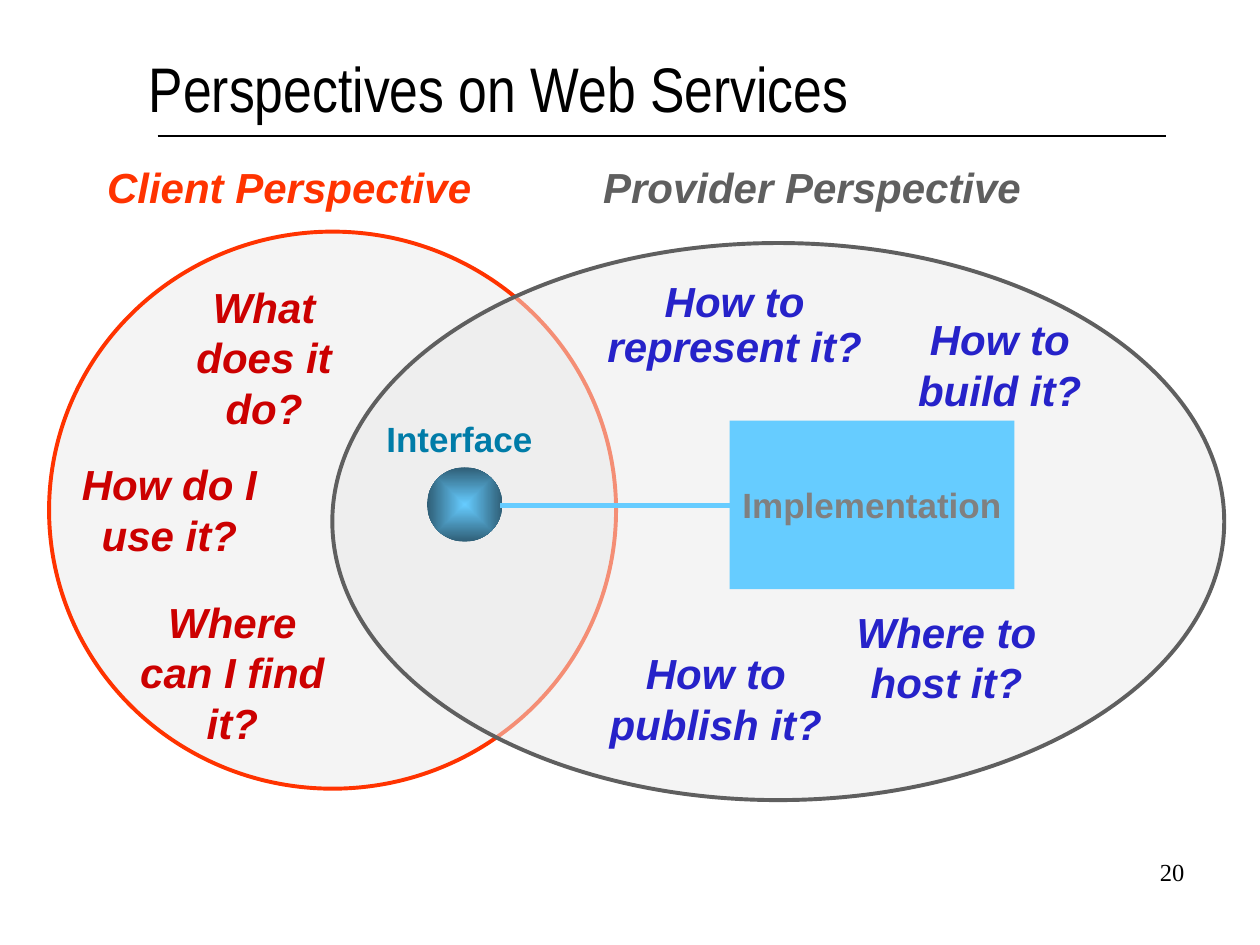
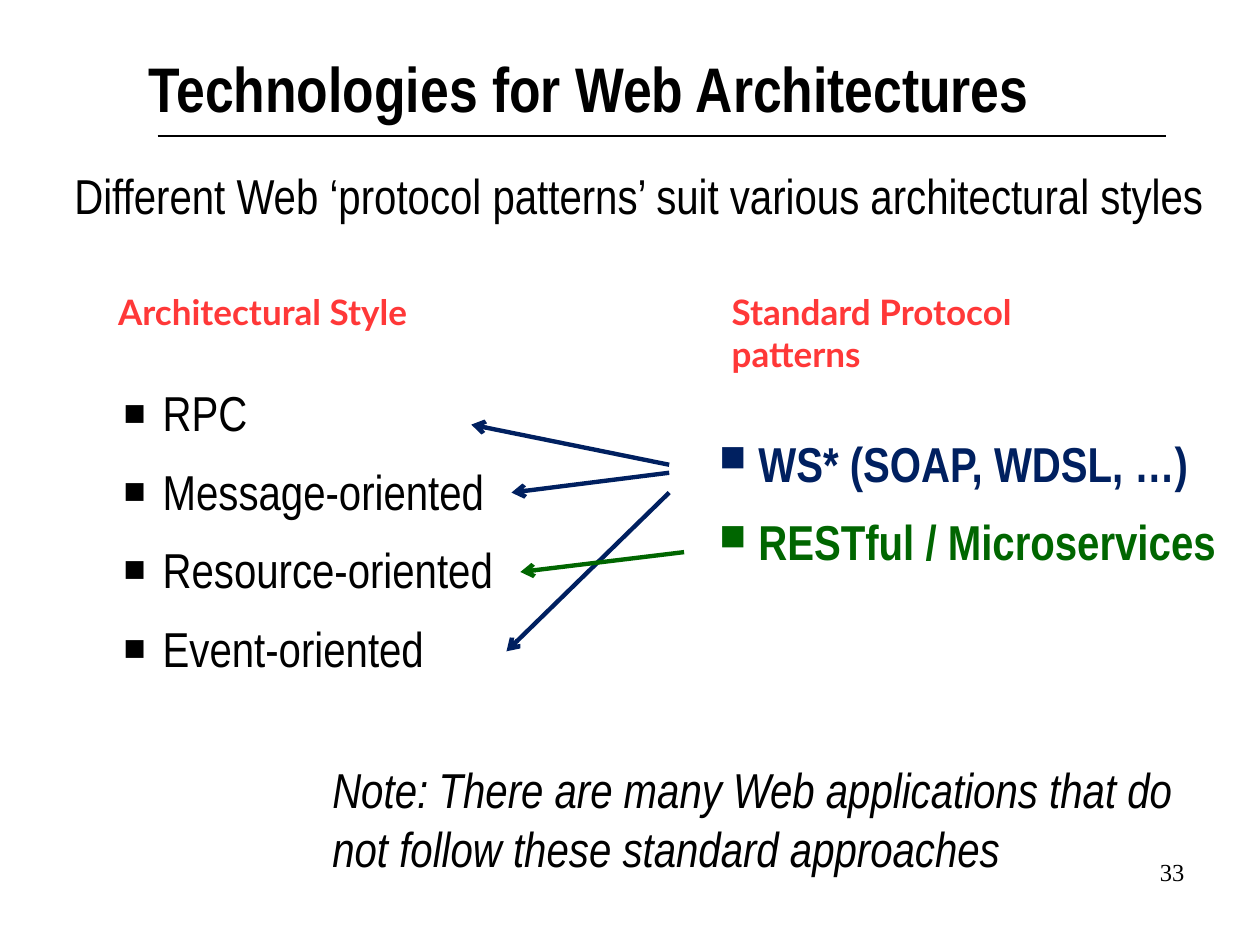
from dataclasses import dataclass

from lxml import etree
from pptx import Presentation
from pptx import util as u
from pptx.dml.color import RGBColor
from pptx.enum import shapes, text
from pptx.oxml import ns


@dataclass(frozen=True)
class Theme:
    # Colours
    ink: str = "000000"
    client: str = "FF3300"
    provider: str = "5F5F5F"
    client_question: str = "CC0000"
    provider_question: str = "2622C9"
    area: str = "EAEAEA"
    block: str = "66CCFF"
    ball_edge: str = "2F5E76"
    block_text: str = "808080"
    interface: str = "007CA8"
    heading: str = "FF3838"
    soap: str = "002060"
    rest: str = "006600"
    # Fonts
    narrow: str = "Arial Narrow"
    sans: str = "Arial"
    head_font: str = "Lato"
    serif: str = "Times New Roman"
    # Type sizes
    title: int = 36
    body: int = 28
    question: int = 24
    label: int = 20
    number: int = 14


THEME = Theme()
LEFT, CENTER, RIGHT = text.PP_ALIGN.LEFT, text.PP_ALIGN.CENTER, text.PP_ALIGN.RIGHT

# Content: places are (left, top, width, height) in centimetres
TITLE_AT = (3, 0.99, 19.43, 1.9)
NUMBER_AT = (18.85, 17.15, 5.28, 1.27)
RULE = (3.18, 2.74, 23.5, 2.74)

PERSPECTIVES = [
    ("Client Perspective", THEME.client, (1.91, 3.12, 8.79, 1.27), (0.99, 4.67, 11.43, 11.23)),
    ("Provider Perspective", THEME.provider, (11.91, 3.12, 9.8, 1.27), (6.7, 4.9, 17.98, 11.23)),
]
QUESTIONS = {
    THEME.client_question: [
        ("What does it do?", (3.1, 5.54, 4.45, 3.3), 1),
        ("How do I use it?", (1.19, 9.12, 4.45, 2.29), 1),
        ("Where can I find it?", (2.46, 11.89, 4.45, 3.3), 1),
    ],
    THEME.provider_question: [
        ("How to represent it?", (11.71, 5.54, 6.2, 2.08), 0.9),
        ("How to build it?", (17.83, 6.2, 4.65, 2.29), 1),
        ("Where to host it?", (16.64, 12.09, 4.88, 2.29), 1),
        ("How to publish it?", (11.99, 12.93, 4.88, 2.29), 1),
    ],
}
INTERFACE_AT = (7.54, 8.28, 3.61, 1.09)
BALL_AT = (8.61, 9.42, 1.52, 1.5)
LINK = (10.08, 10.19, 14.73, 10.19)
IMPLEMENTATION_AT = (14.71, 8.48, 5.74, 3.4)

INTRO = "Different Web ‘protocol patterns’ suit various architectural styles"
INTRO_AT = (1.5, 3.33, 23.01, 1.6)
NOTE = "Note: There are many Web applications that do not follow these standard approaches"
NOTE_AT = (6.7, 15.32, 17.81, 1.6)
HEADINGS = [
    ("Architectural Style", (2.13, 5.72, 8.15, 1.12)),
    ("Standard Protocol patterns", (14.5, 5.72, 8.15, 1.96)),
]
STYLES = ["RPC", "Message-oriented", "Resource-oriented", "Event-oriented"]
STYLES_AT = (2.49, 7.72, 8.61, 8.2)
PROTOCOLS = [("WS* (SOAP, WDSL, …)", THEME.soap), ("RESTful / Microservices", THEME.rest)]
PROTOCOLS_AT = (14.5, 8.74, 10.08, 7.39)
ARROWS = [
    ((13.49, 9.37, 9.5, 8.56), THEME.soap),
    ((13.49, 9.53, 10.31, 9.93), THEME.soap),
    ((13.49, 9.93, 10.21, 13.13), THEME.soap),
    ((13.79, 11.13, 10.49, 11.53), THEME.rest),
]


# Helpers
def cm(values):
    return [u.Cm(value) for value in values]


def add_xml(parent, tag, **attributes):
    return etree.SubElement(parent, ns.qn(tag), attributes)


def write(shape, content, *, size, font, color=THEME.ink, bold=False, italic=False,
          align=LEFT, spacing=1, bullet=False, inset=(0.25, 0.13),
          anchor=text.MSO_ANCHOR.TOP, wrap=True):
    """Fill a shape; content is a string or a list of strings or (string, colour)."""
    frame = shape.text_frame
    frame.auto_size = text.MSO_AUTO_SIZE.NONE
    frame.word_wrap = wrap
    frame.vertical_anchor = anchor
    frame.margin_left = frame.margin_right = u.Cm(inset[0])
    frame.margin_top = frame.margin_bottom = u.Cm(inset[1])
    items = [content] if isinstance(content, str) else content
    for index, item in enumerate(items):
        words, ink = (item, color) if isinstance(item, str) else item
        para = frame.add_paragraph() if index else frame.paragraphs[0]
        if bullet:
            props = para._p.get_or_add_pPr()
            props.set("marL", str(u.Cm(0.79)))
            props.set("indent", str(-u.Cm(0.79)))
            add_xml(props, "a:buSzPct", val="75000")
            add_xml(props, "a:buChar", char="■")
        para.alignment = align
        para.line_spacing = spacing
        para.space_before = u.Pt(0.4 * size if index else 0)
        span = para.add_run()
        span.text = words
        span.font.name, span.font.size = font, u.Pt(size)
        span.font.bold, span.font.italic = bold, italic
        span.font.color.rgb = RGBColor.from_string(ink)


def add_text(page, content, at, **style):
    write(page.shapes.add_textbox(*cm(at)), content, **style)


def fill_placeholder(shape, content, at, **style):
    shape.left, shape.top, shape.width, shape.height = cm(at)
    write(shape, content, font=THEME.narrow, inset=(0, 0), **style)


def add_line(page, ends, color, width, arrow=False):
    line = page.shapes.add_connector(shapes.MSO_CONNECTOR.STRAIGHT, *cm(ends))
    line.line.color.rgb = RGBColor.from_string(color)
    line.line.width = u.Pt(width)
    if arrow:
        add_xml(line.line._get_or_add_ln(), "a:tailEnd", type="arrow")
    add_xml(line.element.spPr, "a:effectLst")
    return line


def add_figure(page, preset, at, fill, outline=None, opacity=None):
    figure = page.shapes.add_shape(preset, *cm(at))
    figure.shadow.inherit = False
    figure.fill.solid()
    figure.fill.fore_color.rgb = RGBColor.from_string(fill)
    if opacity:
        color = figure.element.spPr.find(".//" + ns.qn("a:srgbClr"))
        add_xml(color, "a:alpha", val=str(opacity * 1000))
    if outline:
        figure.line.color.rgb = RGBColor.from_string(outline)
        figure.line.width = u.Pt(2.25)
    else:
        figure.line.fill.background()
    return figure


def shade_from_centre(figure, inner, outer):
    solid = figure.element.spPr.find(ns.qn("a:solidFill"))
    gradient = etree.Element(ns.qn("a:gradFill"), rotWithShape="1")
    stops = add_xml(gradient, "a:gsLst")
    for position, color in ((0, inner), (100000, outer)):
        add_xml(add_xml(stops, "a:gs", pos=str(position)), "a:srgbClr", val=color)
    centre = add_xml(gradient, "a:path", path="shape")
    add_xml(centre, "a:fillToRect", l="50000", t="50000", r="50000", b="50000")
    solid.getparent().replace(solid, gradient)


def add_page(deck, layout, title, number, bold=False):
    page = deck.slides.add_slide(deck.slide_layouts[layout])
    fill_placeholder(page.shapes.title, title, TITLE_AT, size=THEME.title, bold=bold)
    add_text(page, str(number), NUMBER_AT, size=THEME.number, font=THEME.serif, align=RIGHT)
    return page


def add_master_rule(deck, page):
    rule = add_line(page, RULE, THEME.ink, 0.75).element
    rule.nvCxnSpPr.cNvPr.set("id", "100")
    deck.slide_master.shapes.element.append(rule)


# Slides
def build_perspectives(deck):
    page = add_page(deck, 5, "Perspectives on Web Services", 20)
    add_master_rule(deck, page)
    label = dict(size=THEME.label, font=THEME.sans, bold=True)
    question = dict(size=THEME.question, font=THEME.sans, bold=True, italic=True)
    oval = shapes.MSO_SHAPE.OVAL

    # Overlapping areas with their names
    for name, color, name_at, area_at in PERSPECTIVES:
        add_figure(page, oval, area_at, THEME.area, color, opacity=50)
        add_text(page, name, name_at, color=color, **question)

    # Interface joined to implementation
    add_text(page, "Interface", INTERFACE_AT, color=THEME.interface, **label)
    ball = add_figure(page, oval, BALL_AT, THEME.block)
    shade_from_centre(ball, THEME.block, THEME.ball_edge)
    add_line(page, LINK, THEME.block, 3)
    block = add_figure(page, shapes.MSO_SHAPE.RECTANGLE, IMPLEMENTATION_AT, THEME.block)
    write(block, "Implementation", color=THEME.block_text, align=CENTER, inset=(0.2, 0),
          anchor=text.MSO_ANCHOR.MIDDLE, wrap=False, **label)

    # Questions of each side
    for color, entries in QUESTIONS.items():
        for words, at, spacing in entries:
            add_text(page, words, at, color=color, align=CENTER, spacing=spacing, **question)


def build_technologies(deck):
    page = add_page(deck, 1, "Technologies for Web Architectures", 33, bold=True)
    plain = dict(size=THEME.body, font=THEME.narrow, inset=(0, 0))
    add_text(page, INTRO, INTRO_AT, **plain)
    for words, at in HEADINGS:
        add_text(page, words, at, size=THEME.label, font=THEME.head_font,
                 color=THEME.heading, bold=True)

    # Both lists and the arrows between them
    fill_placeholder(page.placeholders[1], STYLES, STYLES_AT, size=THEME.body, bullet=True)
    add_text(page, PROTOCOLS, PROTOCOLS_AT, bold=True, bullet=True, **plain)
    for ends, color in ARROWS:
        add_line(page, ends, color, 2.5, arrow=True)
    add_text(page, NOTE, NOTE_AT, italic=True, **plain)


def main():
    deck = Presentation()
    deck.slide_width, deck.slide_height = cm((25.4, 19.05))
    build_perspectives(deck)
    build_technologies(deck)
    deck.save("out.pptx")


if __name__ == "__main__":
    main()
